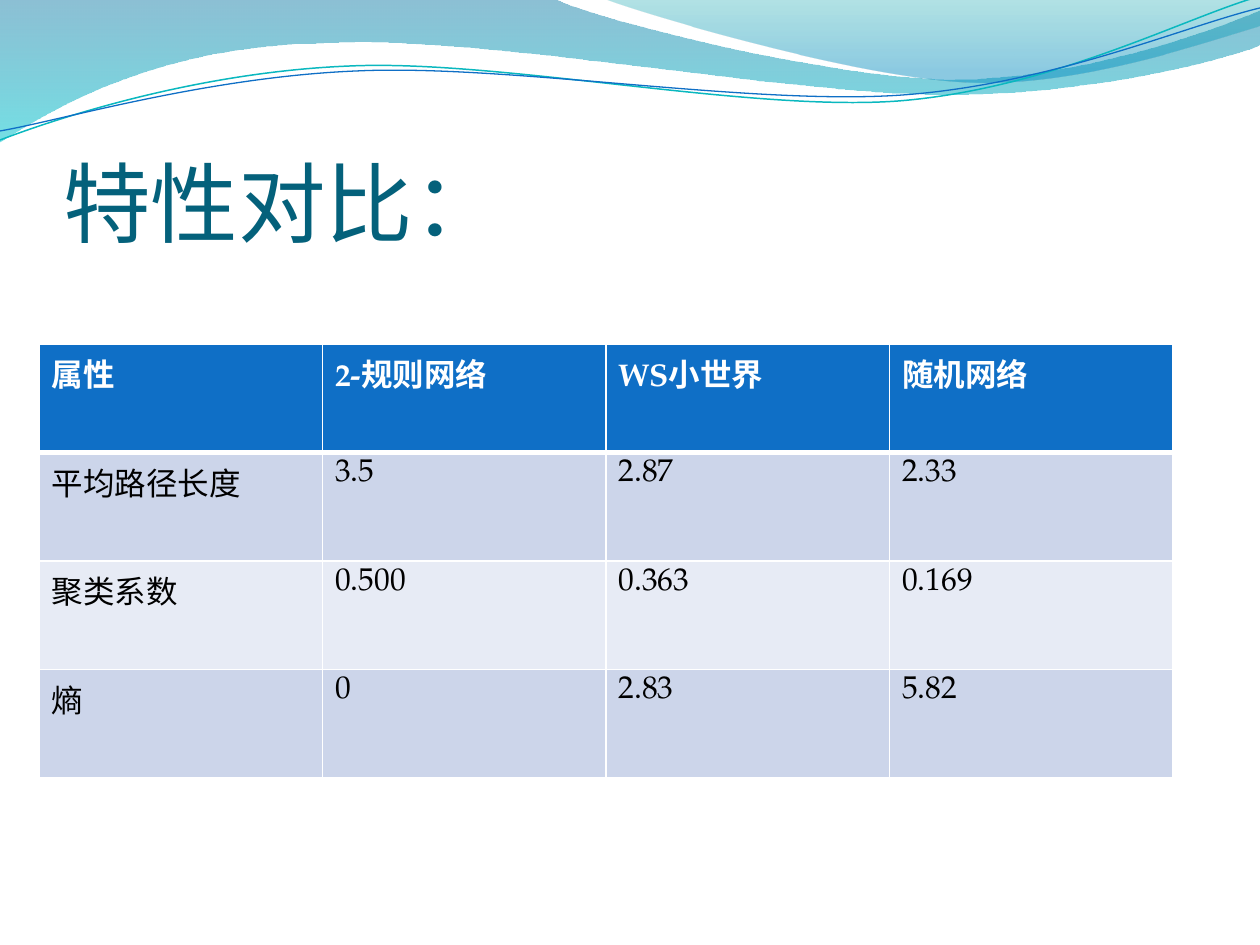
from pptx import Presentation
from pptx.dml.color import RGBColor
from pptx.enum.text import MSO_ANCHOR, MSO_AUTO_SIZE, PP_ALIGN
from pptx.oxml.ns import qn
from pptx.util import Emu, Pt
from lxml.etree import SubElement

PX = 914400 / 126
WHITE = RGBColor(0xFF, 0xFF, 0xFF)
BLACK = RGBColor(0x00, 0x00, 0x00)
TITLE_TEAL = RGBColor(0x04, 0x61, 0x7B)
BLUE = RGBColor(0x0F, 0x6F, 0xC6)
CYAN = RGBColor(0x0A, 0xB8, 0xBF)
BAND_DARK = RGBColor(0xCC, 0xD5, 0xEA)
BAND_LIGHT = RGBColor(0xE7, 0xEB, 0xF5)
WAVE_BLUE = RGBColor(0x00, 0x74, 0xA1)
WAVE_AQUA = RGBColor(0x00, 0xC6, 0xCF)
CREST_GREEN = RGBColor(0x00, 0xA1, 0xA9)
CREST_BLUE = RGBColor(0x00, 0x8B, 0xBF)


def px(*lengths):
    return [Emu(round(length * PX)) for length in lengths]


def add_curve(page, start, segments, close):
    """Draw straight segments (one point) and cubic curves (three points)."""
    builder = page.shapes.build_freeform(*start, scale=PX)
    builder.add_line_segments([point for segment in segments for point in segment], close=close)
    shape = builder.convert_to_shape()
    shape.shadow.inherit = False

    # Join each group of three points into one cubic curve
    nodes = iter(list(shape._element.iter(qn("a:lnTo"))))
    for segment in segments:
        first, *others = [next(nodes) for _ in segment]
        if others:
            cubic = first.makeelement(qn("a:cubicBezTo"))
            first.addprevious(cubic)
            for node in (first, *others):
                cubic.append(node[0])
                node.getparent().remove(node)
    return shape


deck = Presentation()
deck.slide_width, deck.slide_height = px(1260, 945)
page = deck.slides.add_slide(deck.slide_layouts[5])

# Gradient waves along the top: start, segments, (position, colour, opacity %)
waves = [
    ((0, 0),
     [[(554, -1)],
      [(600, 21), (837, 79), (955, 79)],
      [(1075, 79), (1207, 33), (1260, 11)],
      [(1261, 45)],
      [(1239, 55), (1096, 96), (940, 94)],
      [(783, 94), (481, 35), (324, 43)],
      [(163, 45), (58, 105), (-1, 142)],
      [(0, 0)]],
     [(0, WAVE_BLUE, 45), (1, WAVE_AQUA, 55)]),
    ((604, -1),
     [[(641, 14), (859, 78), (969, 82)],
      [(1079, 87), (1211, 40), (1260, 26)],
      [(1260, 0)],
      [(604, -1)]],
     [(0, CREST_GREEN, 30), (0.8, CREST_BLUE, 45)]),
]
for start, segments, stops in waves:
    wave = add_curve(page, start, segments, True)
    wave.line.fill.background()
    wave.fill.gradient()
    wave.fill.gradient_angle = 270
    for stop, (position, colour, opacity) in zip(wave.fill.gradient_stops, stops):
        stop.position = position
        stop.color.rgb = colour
    for node, (position, colour, opacity) in zip(wave._element.iter(qn("a:srgbClr")), stops):
        SubElement(node, qn("a:alpha"), val=str(opacity * 1000))

# Thin wave lines
wave_lines = [
    ((0, 140),
     [[(60, 117), (199, 72), (349, 66)],
      [(498, 59), (747, 112), (898, 101)],
      [(1050, 89), (1182, 19), (1257, -3)]], CYAN, 0.85),
    ((0, 131),
     [[(59, 121), (207, 77), (357, 71)],
      [(508, 64), (752, 106), (903, 95)],
      [(1053, 84), (1185, 26), (1260, 8)]], BLUE, 0.75),
]
for start, segments, colour, width in wave_lines:
    curve = add_curve(page, start, segments, False)
    curve.fill.background()
    curve.line.color.rgb = colour
    curve.line.width = Pt(width)

# Title, in front of the waves
title = page.shapes.title
page.shapes._spTree.append(title._element)
title.left, title.top, title.width, title.height = px(63, 97, 1134, 157)
frame = title.text_frame
frame.text = "特性对比："
frame.auto_size = MSO_AUTO_SIZE.NONE
frame.vertical_anchor = MSO_ANCHOR.BOTTOM
frame.margin_left = frame.margin_right = frame.margin_bottom = 0
para = frame.paragraphs[0]
para.alignment = PP_ALIGN.LEFT
para.font.name = "Calibri"
para.font.size = Pt(50)
para.font.color.rgb = TITLE_TEAL

# Comparison table
rows = [
    ["属性", "2-规则网络", "WS小世界", "随机网络"],
    ["平均路径长度", "3.5", "2.87", "2.33"],
    ["聚类系数", "0.500", "0.363", "0.169"],
    ["熵", "0", "2.83", "5.82"],
]
table = page.shapes.add_table(4, 4, *px(39, 344, 1134, 434)).table
table.horz_banding = False
for r, row in enumerate(rows):
    header = r == 0
    for c, text in enumerate(row):
        cell = table.cell(r, c)
        cell.text = text
        para = cell.text_frame.paragraphs[0]
        para.font.name = "TeX Gyre Pagella"
        para.font.size = Pt(18)
        para.font.bold = header
        para.font.color.rgb = WHITE if header else BLACK

        # White borders come before the fill in the cell properties
        props = cell._tc.get_or_add_tcPr()
        for side in ("lnL", "lnR", "lnT", "lnB"):
            thick = (header and side == "lnB") or (r == 1 and side == "lnT")
            border = SubElement(props, qn("a:" + side), w=str(Pt(3 if thick else 1)))
            SubElement(SubElement(border, qn("a:solidFill")), qn("a:srgbClr"), val=str(WHITE))
        cell.fill.solid()
        cell.fill.fore_color.rgb = BLUE if header else BAND_DARK if r % 2 else BAND_LIGHT

deck.save("out.pptx")
